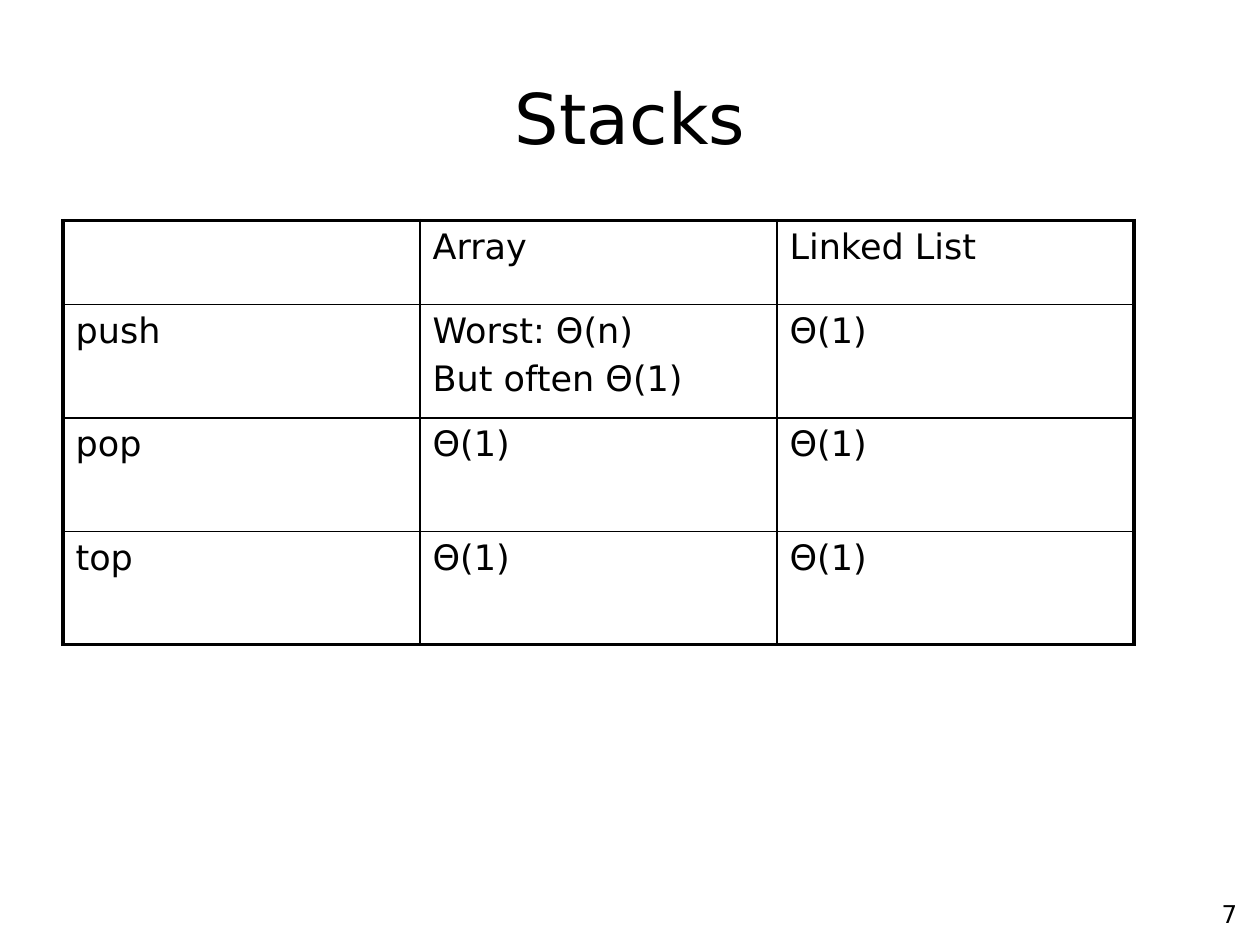
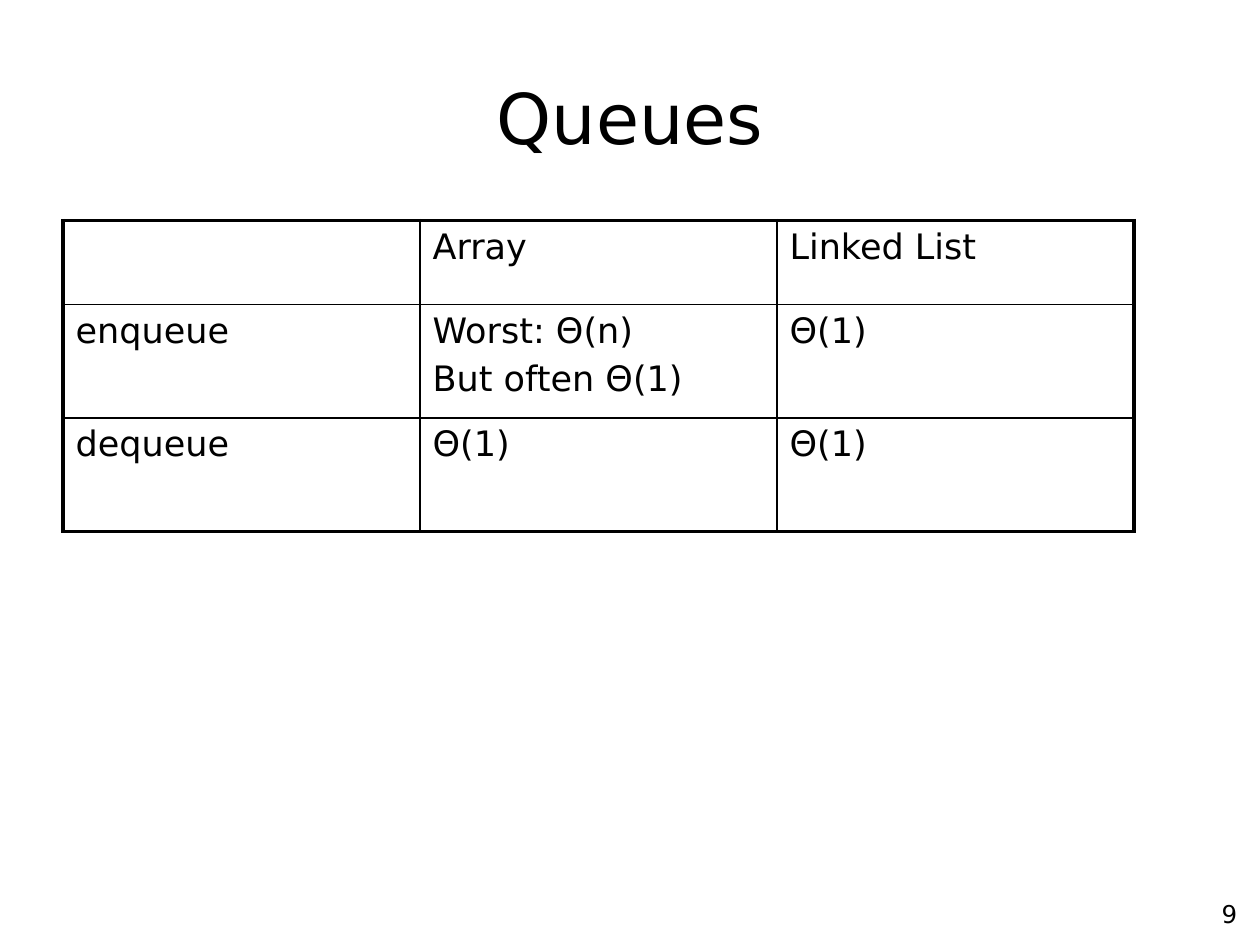
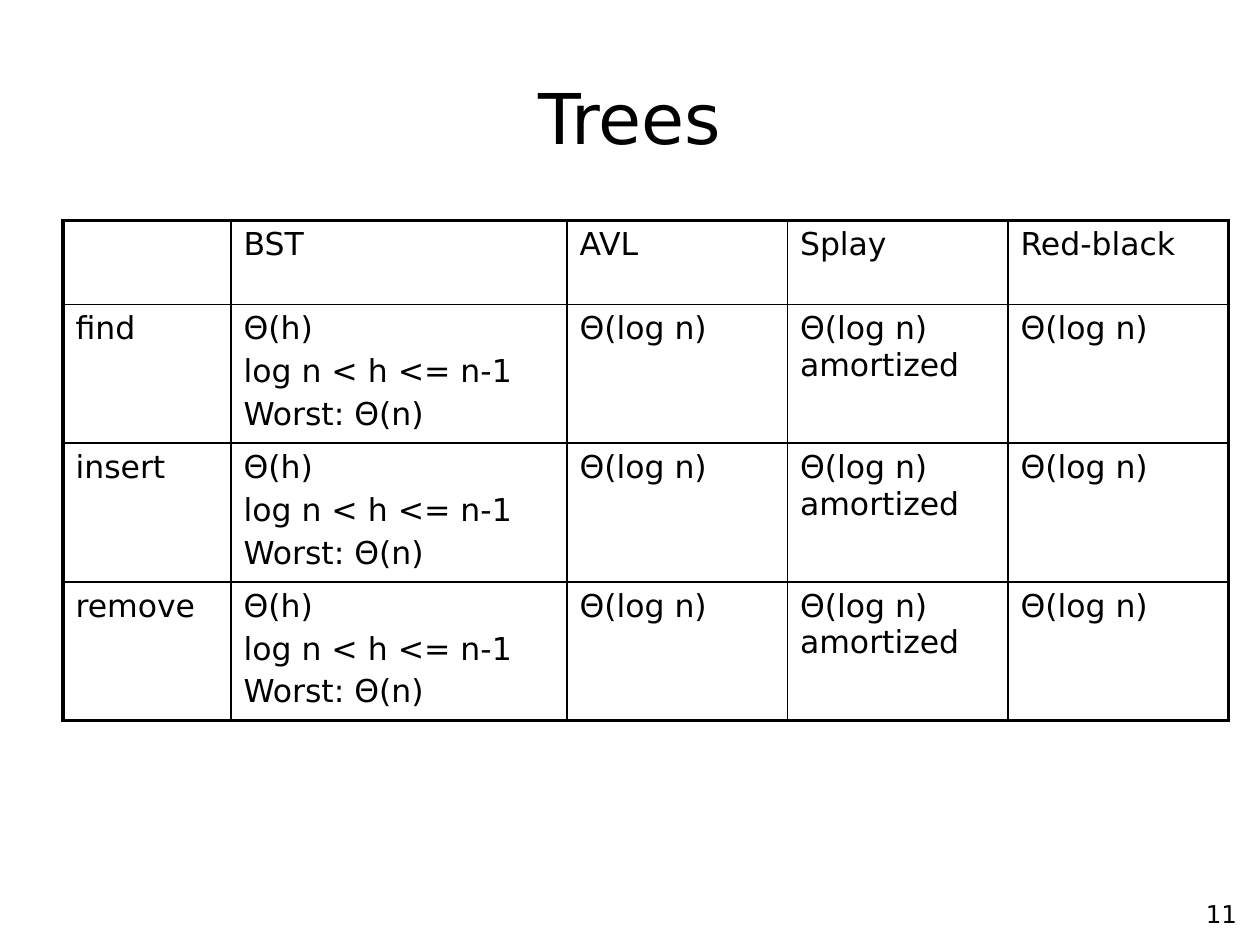
"""Build three slides that compare the running times of data structures."""
from typing import NamedTuple

from lxml.etree import SubElement
from pptx import Presentation
from pptx.dml.color import RGBColor
from pptx.enum.text import MSO_ANCHOR as Anchor, MSO_AUTO_SIZE as AutoSize, PP_ALIGN as Align
from pptx.oxml.ns import qn
from pptx.util import Pt

PX = 7620
BLACK = RGBColor(0x00, 0x00, 0x00)
FONT = "DejaVu Sans"
OUTER, INNER = 2.25, 1
HEADER_HEIGHT, ROW_HEIGHT = 80, 108


class Box(NamedTuple):
    left: int
    top: int
    width: int
    height: int


class Comparison(NamedTuple):
    title: str
    number: int
    size: int
    columns: list[int]
    height: int
    rows: list[list[str]]


TITLE_BOX = Box(60, 36, 1080, 150)
NUMBER_BOX = Box(940, 850, 250, 44)
TABLE_LEFT, TABLE_TOP = 60, 210

ARRAY_HEADER = ["", "Array", "Linked List"]
GROWING_ARRAY = ["Worst: Θ(n)\nBut often Θ(1)", "Θ(1)"]
CONSTANT = ["Θ(1)", "Θ(1)"]
TREE_COSTS = ["Θ(h)\nlog n < h <= n-1\nWorst: Θ(n)", "Θ(log n)",
              "Θ(log n) \vamortized", "Θ(log n)"]

COMPARISONS = [
    Comparison("Stacks", 7, 20, [340] * 3, 404, [
        ARRAY_HEADER, ["push", *GROWING_ARRAY], ["pop", *CONSTANT], ["top", *CONSTANT]]),
    Comparison("Queues", 9, 20, [340] * 3, 296, [
        ARRAY_HEADER, ["enqueue", *GROWING_ARRAY], ["dequeue", *CONSTANT]]),
    Comparison("Trees", 11, 18, [160, 320, 210, 210, 210], 484, [
        ["", "BST", "AVL", "Splay", "Red-black"],
        *([operation, *TREE_COSTS] for operation in ("find", "insert", "remove"))]),
]


def emu(box: Box) -> list[int]:
    """Convert a box from px to EMU."""
    return [length * PX for length in box]


def write_text(frame, text: str, *, size: int, align: Align, space_percent: int = 0) -> None:
    """Fill a text frame with one paragraph per line of text."""
    for index, line in enumerate(text.split("\n")):
        para = frame.add_paragraph() if index else frame.paragraphs[0]
        para.text = line
        para.alignment = align
        if space_percent:
            para.space_before = Pt(0)
            spacing = para._p.pPr.find(qn("a:spcBef"))
            spacing.clear()
            SubElement(spacing, qn("a:spcPct"), val=str(space_percent * 1000))
        for span in para.runs:
            span.font.name = FONT
            span.font.size = Pt(size)
            span.font.color.rgb = BLACK


def draw_border(cell, side: str, width: float) -> None:
    """Draw one solid black side of a table cell."""
    line = SubElement(cell._tc.get_or_add_tcPr(), qn(f"a:ln{side}"), w=str(Pt(width)))
    fill = SubElement(line, qn("a:solidFill"))
    SubElement(fill, qn("a:srgbClr"), val=str(BLACK))


def add_title(page, text: str) -> None:
    """Place and fill the title of a page."""
    title = page.shapes.title
    title.left, title.top, title.width, title.height = emu(TITLE_BOX)
    title.text_frame.auto_size = AutoSize.NONE
    title.text_frame.vertical_anchor = Anchor.MIDDLE
    write_text(title.text_frame, text, size=40, align=Align.CENTER)


def add_number(page, number: int) -> None:
    """Add the page number at the lower right."""
    box = page.shapes.add_textbox(*emu(NUMBER_BOX))
    box.text_frame.word_wrap = True
    write_text(box.text_frame, str(number), size=14, align=Align.RIGHT)


def add_comparison_table(page, comparison: Comparison) -> None:
    """Add a table with a heavy outline and thin inner lines."""
    rows, columns = comparison.rows, comparison.columns
    bounds = Box(TABLE_LEFT, TABLE_TOP, sum(columns), comparison.height)
    holder = page.shapes.add_table(len(rows), len(columns), *emu(bounds))
    table = holder.table
    table.first_row = table.horz_banding = False
    for column, width in zip(table.columns, columns):
        column.width = width * PX
    for index, row in enumerate(table.rows):
        row.height = (ROW_HEIGHT if index else HEADER_HEIGHT) * PX
    holder.height = comparison.height * PX

    for row_index, texts in enumerate(rows):
        for column_index, text in enumerate(texts):
            cell = table.cell(row_index, column_index)
            outer_sides = {
                "L": column_index == 0,
                "R": column_index == len(columns) - 1,
                "T": row_index == 0,
                "B": row_index == len(rows) - 1,
            }
            for side, is_outer in outer_sides.items():
                draw_border(cell, side, OUTER if is_outer else INNER)
            cell.fill.background()
            align = Align.LEFT if "\v" in text else Align.JUSTIFY
            write_text(cell.text_frame, text, size=comparison.size, align=align,
                       space_percent=20)


def main() -> None:
    """Build and save the deck."""
    deck = Presentation()
    deck.slide_width, deck.slide_height = 1200 * PX, 900 * PX
    title_only = deck.slide_layouts[5]
    for comparison in COMPARISONS:
        page = deck.slides.add_slide(title_only)
        add_number(page, comparison.number)
        add_title(page, comparison.title)
        add_comparison_table(page, comparison)
    deck.save("out.pptx")


if __name__ == "__main__":
    main()
